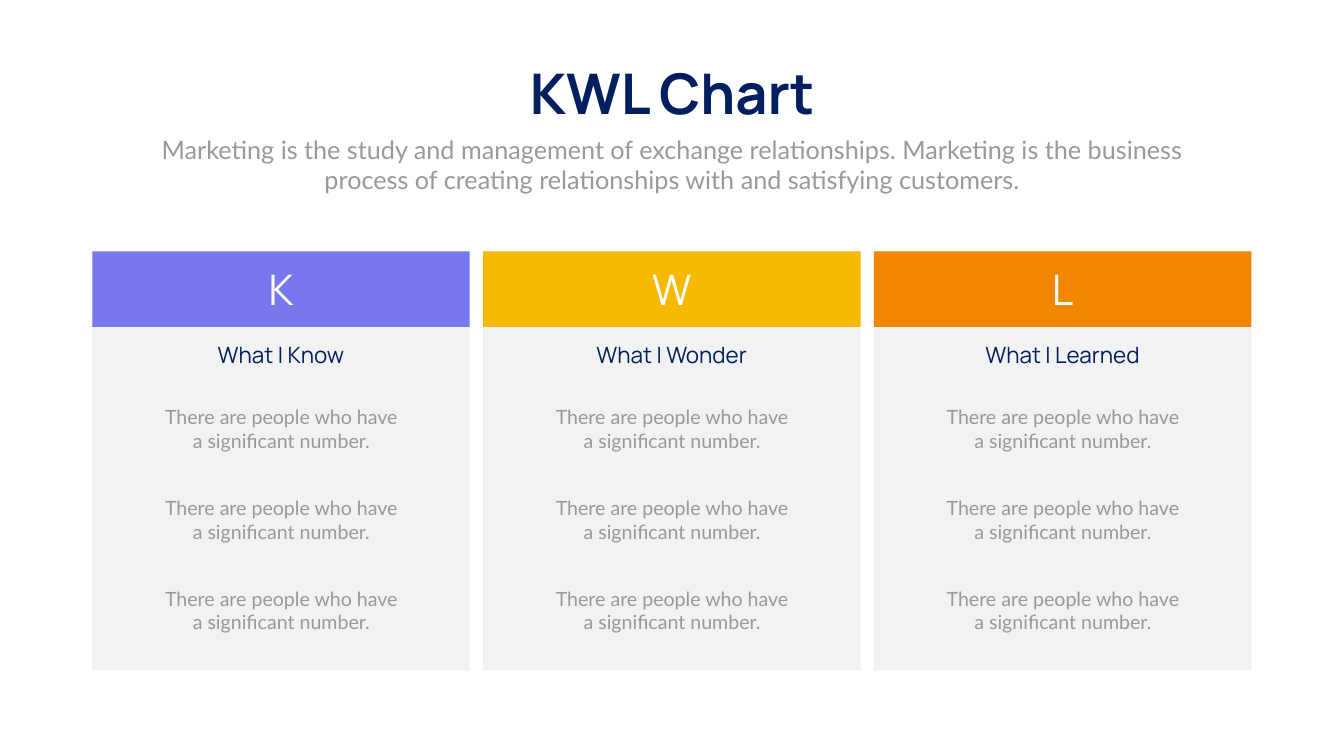
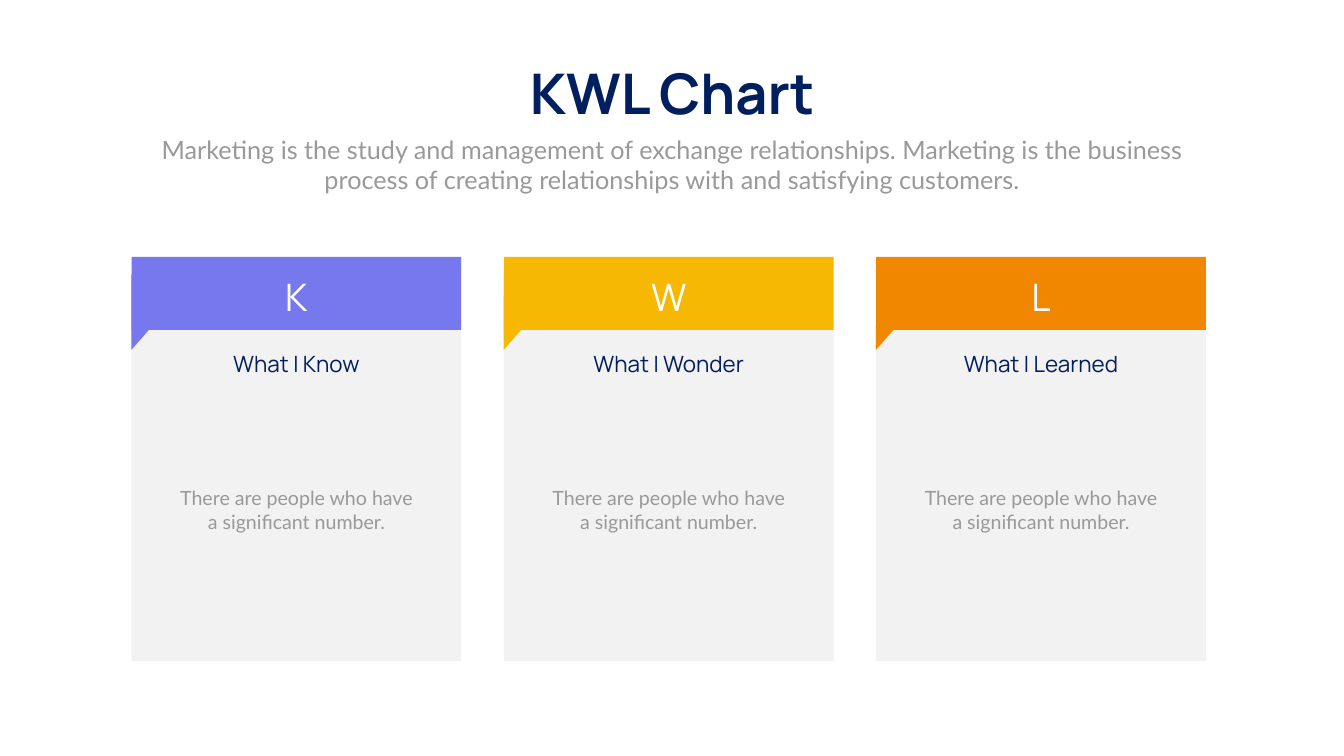
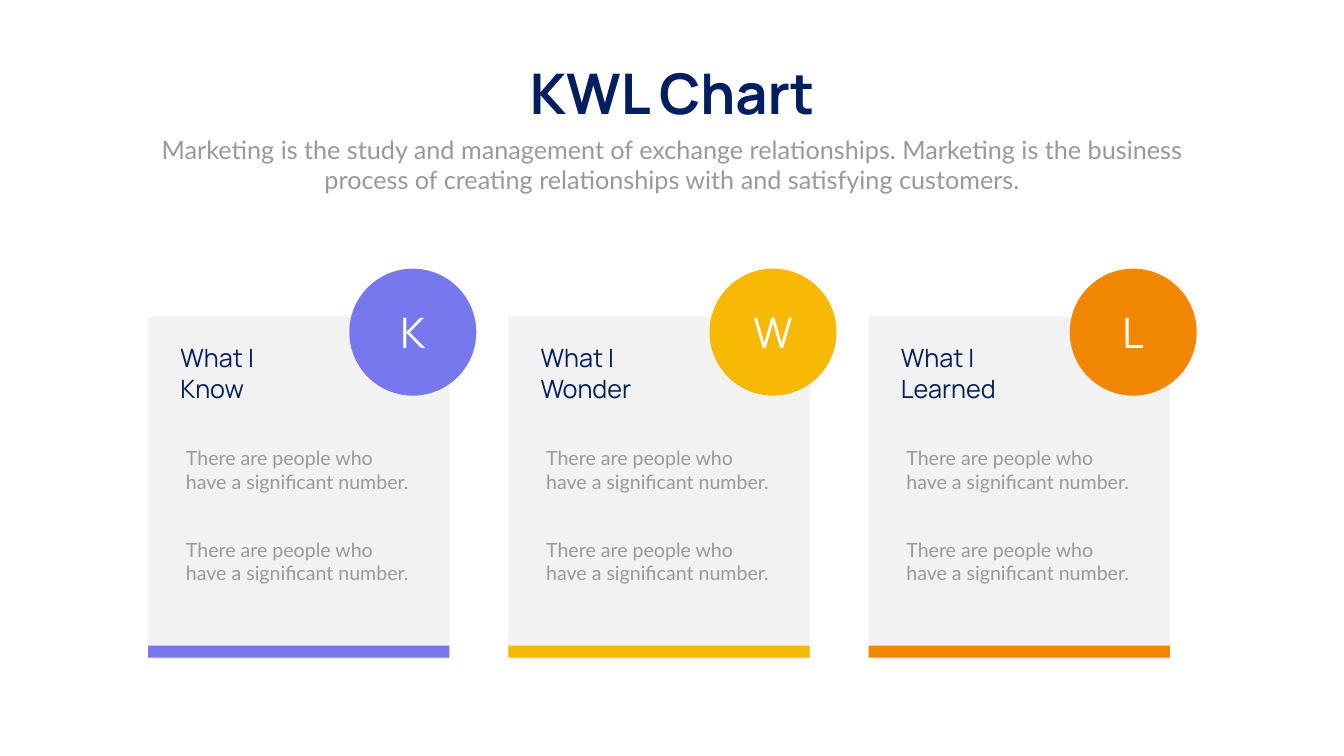
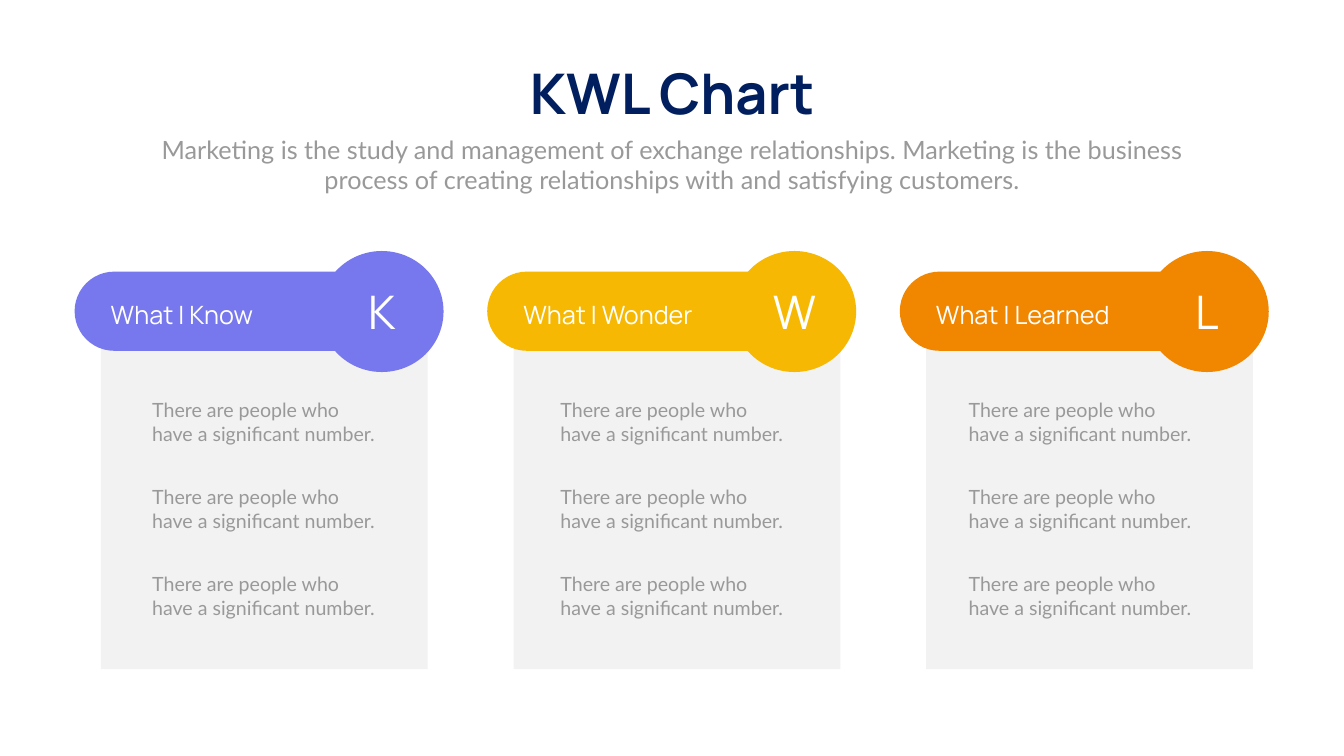
"""Build four KWL chart slides that share one heading and three columns."""
from collections import namedtuple

from lxml import etree
from pptx import Presentation
from pptx.dml.color import RGBColor
from pptx.enum.shapes import MSO_SHAPE
from pptx.enum.text import MSO_ANCHOR, MSO_AUTO_SIZE, PP_ALIGN
from pptx.oxml.ns import qn
from pptx.util import Cm, Pt

RECT, OVAL = MSO_SHAPE.RECTANGLE, MSO_SHAPE.OVAL
PILL, WEDGE = MSO_SHAPE.ROUNDED_RECTANGLE, MSO_SHAPE.ISOSCELES_TRIANGLE
LEFT, MID = PP_ALIGN.LEFT, PP_ALIGN.CENTER
TOP, CENTER = MSO_ANCHOR.TOP, MSO_ANCHOR.MIDDLE
GROW = MSO_AUTO_SIZE.SHAPE_TO_FIT_TEXT

HEX = {"back": "FEFFFE", "navy": "011F5E", "grey": "999999", "card": "F2F2F2",
       "veil": "808080", "white": "FFFFFF", "blue": "7778ED",
       "gold": "F6B802", "orange": "F18600"}
HEAD, BODY = "Manrope", "Lato"
TITLE = "KWL Chart"
INTRO = ("Marketing is the study and management of exchange relationships. "
         "Marketing is the business process of creating relationships with "
         "and satisfying customers.")
NOTE = "There are people who have a significant number."

Topic = namedtuple("Topic", "col letter label hue wide slim long")
TOPICS = [
    Topic(0, "K", "What I Know", "blue", 9.5, 5.56, 10.01),
    Topic(1, "W", "What I Wonder", "gold", 12.12, 7.09, 10.01),
    Topic(2, "L", "What I Learned", "orange", 11.2, 6.55, 10.8),
]


def tint(name):
    """Return the named colour."""
    return RGBColor.from_string(HEX[name])


def write(frame, text, size=28, font=BODY, hue="grey", align=MID, bold=False,
          anchor=TOP, wrap=True):
    """Fill a text frame with one formatted paragraph."""
    frame.word_wrap = wrap
    frame.vertical_anchor = anchor
    para = frame.paragraphs[0]
    para.alignment = align
    run = para.add_run()
    run.text = text
    run.font.size, run.font.name, run.font.bold = Pt(size), font, bold
    run.font.color.rgb = tint(hue)


def label(slide, text, x, y, w, h, **form):
    """Add a text box that grows with its text."""
    frame = slide.shapes.add_textbox(Cm(x), Cm(y), Cm(w), Cm(h)).text_frame
    write(frame, text, **form)
    frame.auto_size = GROW


def block(slide, kind, x, y, w, h, hue, alpha=None):
    """Add a flat preset shape without outline or shadow."""
    shape = slide.shapes.add_shape(kind, Cm(x), Cm(y), Cm(w), Cm(h))
    shape.shadow.inherit = False
    shape.fill.solid()
    shape.fill.fore_color.rgb = tint(hue)
    shape.line.fill.background()
    if alpha:
        color = shape._element.spPr.find(".//" + qn("a:srgbClr"))
        etree.SubElement(color, qn("a:alpha"), val=str(alpha * 1000))
    return shape


def mark(shape, letter, size):
    """Write the topic letter in the middle of a shape."""
    write(shape.text_frame, letter, size=size, font=HEAD, hue="white",
          anchor=CENTER, wrap=False)


def notes(slide, x, y, w, count, step=0, align=LEFT):
    """Stack equal notes downward from a point."""
    for row in range(count):
        label(slide, NOTE, x, y + row * step, w, 2.64, align=align)


def header(slide):
    """Place the title and the introduction."""
    title = slide.shapes.title
    title.left, title.top = Cm(25.93), Cm(2.84)
    title.width, title.height = Cm(15.88), Cm(3.68)
    write(title.text_frame, TITLE, size=80, font=HEAD, hue="navy", bold=True,
          wrap=False)
    title.text_frame.auto_size = GROW
    label(slide, INTRO, 7.42, 6.63, 52.88, 3.33, size=36)


def panel(slide, x, y, topic):
    """Draw a column with a flat head and three notes."""
    wide = 19.02
    block(slide, RECT, x, y, wide, 21.13, "card")
    mark(block(slide, RECT, x, y, wide, 3.81, topic.hue), topic.letter, 60)
    label(slide, topic.label, x + (wide - topic.wide) / 2, y + 4.42,
          topic.wide, 1.63, size=32, font=HEAD, hue="navy")
    notes(slide, x + 3.16, y + 7.62, 12.73, 3, 4.58, MID)


def ribbon(slide, x, y, topic):
    """Draw a column with a folded head and one note."""
    wide = 16.61
    block(slide, RECT, x, y + 3.28, wide, 17.09, "card")
    fold = block(slide, WEDGE, x - 0.72, y + 1.24, 2.67, 3.56, topic.hue)
    fold.rotation = 200.7
    block(slide, RECT, x, y, wide, 3.68, topic.hue)
    label(slide, topic.label, x + (wide - topic.wide) / 2, y + 4.57,
          topic.wide, 1.63, size=32, font=HEAD, hue="navy")
    notes(slide, x + 1.94, y + 11.43, 12.73, 1, align=MID)
    label(slide, topic.letter, x + (wide - 4.32) / 2, y + 0.74, 4.32, 2.57,
          size=54, font=HEAD, hue="white")


def badge(slide, x, y, topic):
    """Draw a pale card with a corner disc and a foot bar."""
    wide = 15.18
    block(slide, RECT, x, y, wide, 17.24, "veil", alpha=10)
    block(slide, RECT, x, y + 16.56, wide, 0.61, topic.hue)
    disc = block(slide, OVAL, x + 10.13, y - 2.44, 6.4, 6.4, topic.hue)
    mark(disc, topic.letter, 60)
    label(slide, topic.label, x + 1.37, y + 1.17, topic.slim, 3.33, size=36,
          font=HEAD, hue="navy", align=LEFT)
    notes(slide, x + 1.65, y + 6.38, 11.73, 2, 4.62)


def key(slide, x, y, topic):
    """Draw a card under a pill that ends in a disc."""
    block(slide, RECT, x + 1.33, y + 2.87, 16.46, 18.21, "card")
    pill = block(slide, PILL, x, y + 1.04, 17.78, 3.99, topic.hue)
    pill.adjustments[0] = 0.5
    disc = block(slide, OVAL, x + 12.37, y, 6.22, 6.1, topic.hue)
    mark(disc, topic.letter, 66)
    label(slide, topic.label, x + 1.57, y + 2.29, topic.long, 1.8, size=36,
          font=HEAD, hue="white", align=LEFT)
    notes(slide, x + 3.66 - 0.22 * topic.col, y + 7.29, 11.73, 3, 4.38)


PAGES = [(panel, 4.65, 12.67, 19.69), (ribbon, 6.63, 12.95, 18.76),
         (badge, 7.47, 15.98, 18.15), (key, 3.76, 12.65, 20.79)]


def main():
    """Build and save the deck."""
    deck = Presentation()
    deck.slide_width, deck.slide_height = Cm(67.72), Cm(38.1)
    fill = deck.slide_master.background.fill
    fill.solid()
    fill.fore_color.rgb = tint("back")
    for draw, left, top, pitch in PAGES:
        slide = deck.slides.add_slide(deck.slide_layouts[5])
        header(slide)
        for topic in TOPICS:
            draw(slide, left + topic.col * pitch, top, topic)
    deck.save("out.pptx")


if __name__ == "__main__":
    main()
